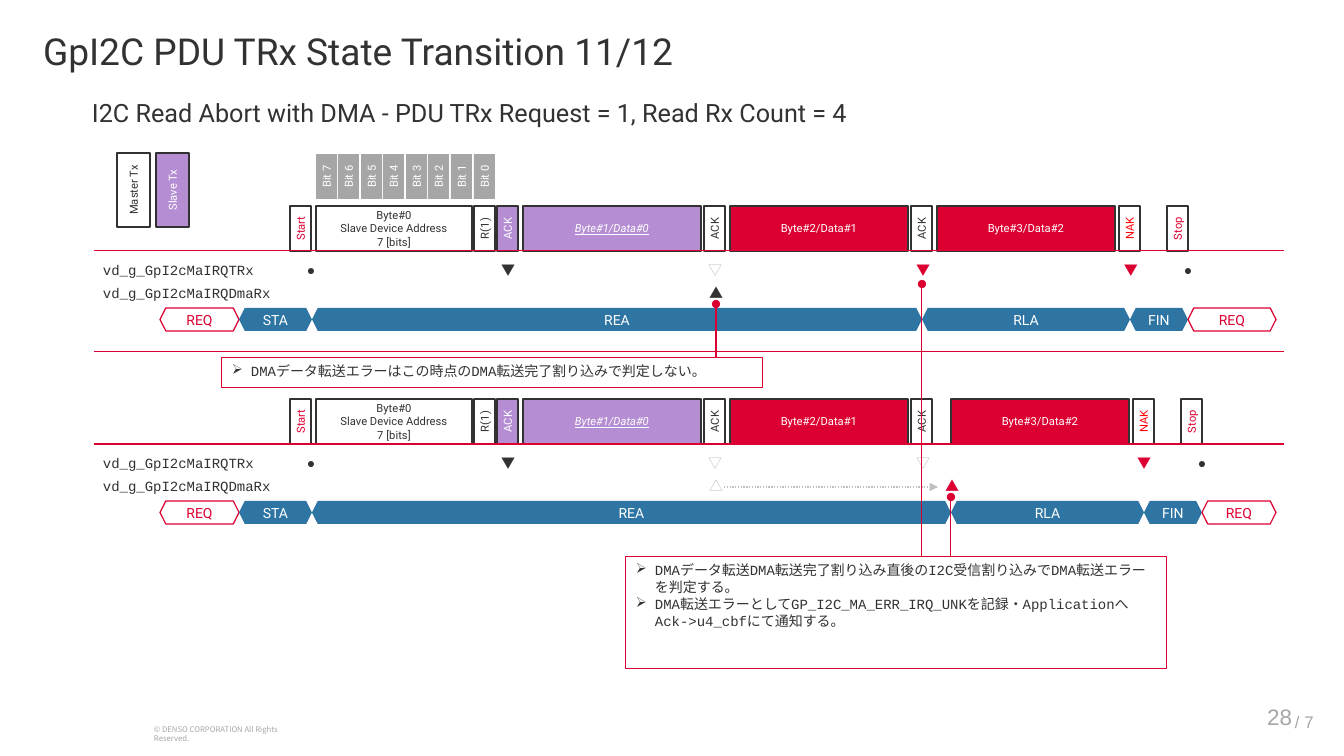
from dataclasses import dataclass
from lxml import etree
from pptx import Presentation
from pptx.dml.color import RGBColor
from pptx.enum.dml import MSO_LINE
from pptx.enum.shapes import MSO_CONNECTOR, MSO_SHAPE
from pptx.enum.text import MSO_ANCHOR, PP_ALIGN
from pptx.oxml.ns import qn
from pptx.util import Pt

STRAIGHT = MSO_CONNECTOR.STRAIGHT
RECTANGLE, HEXAGON = MSO_SHAPE.RECTANGLE, MSO_SHAPE.HEXAGON
TOP, MIDDLE = MSO_ANCHOR.TOP, MSO_ANCHOR.MIDDLE
LEFT, CENTER, RIGHT = PP_ALIGN.LEFT, PP_ALIGN.CENTER, PP_ALIGN.RIGHT
DOTTED = MSO_LINE.ROUND_DOT


@dataclass(frozen=True)
class Theme:
    ink: str = "323232"
    white: str = "FFFFFF"
    red: str = "DC0032"
    nak: str = "FF0000"
    purple: str = "B48DD2"
    blue: str = "2F75A3"
    gray: str = "A6A6A6"
    pale: str = "BFBFBF"
    sans: str = "Roboto"
    mono: str = "Courier New"
    japanese: str = "Noto Sans CJK JP"
    plain: str = "Arial"
    title: float = 26.5
    subtitle: float = 18
    page: float = 16
    total: float = 12
    signal: float = 10
    cell: float = 8
    legal: float = 5.5
    outline: float = 0.85
    thin: float = 0.75
    dotted: float = 1


THEME = Theme()


def px(length):
    return round(length * 914400 / 100.8)


def write(shape, lines, size, color, font=THEME.sans, align=CENTER, anchor=MIDDLE,
          insets=(0, 0), wrap=True, spacing=None, bullet=None, emphasis=False):
    frame = shape.text_frame
    frame.word_wrap = wrap
    frame.vertical_anchor = anchor
    frame.margin_left = frame.margin_right = px(insets[0])
    frame.margin_top = frame.margin_bottom = px(insets[1])
    frame.text = "\n".join(lines)
    for paragraph in frame.paragraphs:
        paragraph.alignment = align
        if spacing:
            paragraph.line_spacing = spacing
        properties = paragraph._p.get_or_add_pPr()
        if bullet:
            properties.set("marL", str(px(19)))
            properties.set("indent", str(px(-19)))
            etree.SubElement(properties, qn("a:buChar")).set("char", bullet)
        paragraph.font.size = Pt(size)
        paragraph.font.color.rgb = RGBColor.from_string(color)
        paragraph.font.name = font
        if emphasis:
            paragraph.font.italic = paragraph.font.underline = True
        east_asian = etree.SubElement(properties.find(qn("a:defRPr")), qn("a:ea"))
        east_asian.set("typeface", THEME.japanese)


def add_text(slide, box, text, size, color, font=THEME.sans, align=LEFT, anchor=TOP,
             insets=(10, 5), **options):
    shape = slide.shapes.add_textbox(*map(px, box))
    write(shape, [text], size, color, font, align, anchor, insets, **options)
    return shape


def add_block(slide, kind, box, fill, line, width=THEME.outline):
    shape = slide.shapes.add_shape(kind, *map(px, box))
    shape.shadow.inherit = False
    if fill:
        shape.fill.solid()
        shape.fill.fore_color.rgb = RGBColor.from_string(fill)
    else:
        shape.fill.background()
    if line:
        shape.line.color.rgb = RGBColor.from_string(line)
        shape.line.width = Pt(width)
    else:
        shape.line.fill.background()
    return shape


def add_upright(slide, box, text, fill, color, line=THEME.ink):
    left, top, width, height = box
    turned = (left + (width - height) / 2, top + (height - width) / 2, height, width)
    shape = add_block(slide, RECTANGLE, turned, fill, line)
    shape.rotation = 270
    write(shape, [text], THEME.cell, color, wrap=False)


def add_line(slide, start, end, color=THEME.red, width=THEME.thin, head=None, tail=None, dash=None):
    connector = slide.shapes.add_connector(STRAIGHT, *map(px, (*start, *end)))
    connector.line.color.rgb = RGBColor.from_string(color)
    connector.line.width = Pt(width)
    if dash:
        connector.line.dash_style = dash
    outline = connector.line._get_or_add_ln()
    for tag, ending in (("a:headEnd", head), ("a:tailEnd", tail)):
        if ending:
            etree.SubElement(outline, qn(tag)).set("type", ending)
    etree.SubElement(connector._element.spPr, qn("a:effectLst"))


def add_headings(slide):
    add_text(slide, (0, 28, 1191, 45), "GpI2C PDU TRx State Transition 11/12",
             THEME.title, THEME.ink, insets=(43, 5), spacing=0.9)
    add_text(slide, (82, 87, 808, 36),
             "I2C Read Abort with DMA - PDU TRx Request = 1, Read Rx Count = 4",
             THEME.subtitle, THEME.ink, insets=(10, 0), wrap=False, spacing=1.35)


def add_footer(slide):
    add_text(slide, (144, 720, 180, 19), "© DENSO CORPORATION All Rights Reserved.",
             THEME.legal, THEME.gray, THEME.japanese)
    add_text(slide, (1230, 699, 72, 35), "28", THEME.page, THEME.gray, THEME.plain,
             RIGHT, MIDDLE, (10, 4))
    add_text(slide, (1285, 708, 39, 28), "/ 7", THEME.total, THEME.gray, THEME.plain,
             LEFT, MIDDLE, (10, 4), wrap=False)


def add_legend(slide, left, top):
    add_upright(slide, (left, top, 33, 74), "Master Tx", THEME.white, THEME.ink)
    add_upright(slide, (left + 39, top, 33, 74), "Slave Tx", THEME.purple, THEME.white)


def add_bits(slide, left, top, span):
    for index in range(8):
        add_upright(slide, (left + span * index // 7, top, 21, 45), f"Bit {7 - index}",
                    THEME.gray, THEME.white, None)


def add_timeline(slide, top, delay, bounds, markers):
    narrow_cells = (
        ("Start", 290, THEME.white, THEME.red),
        ("R(1)", 474, THEME.white, THEME.ink),
        ("ACK", 497, THEME.purple, THEME.white),
        ("ACK", 704, THEME.white, THEME.ink),
        ("ACK", 911, THEME.white, THEME.ink),
        ("NAK", 1119 + delay, THEME.white, THEME.nak),
        ("Stop", 1167 + delay, THEME.white, THEME.red),
    )
    byte_cells = (
        (["Byte#0", "Slave Device Address", "7 [bits]"], 316, 156, THEME.white, THEME.ink),
        (["Byte#1/Data#0"], 523, 178, THEME.purple, THEME.white),
        (["Byte#2/Data#1"], 730, 178, THEME.red, THEME.white),
        (["Byte#3/Data#2"], 937 + delay, 178, THEME.red, THEME.white),
    )
    for text, left, fill, color in narrow_cells:
        add_upright(slide, (left, top, 21, 45), text, fill, color)
    for lines, left, width, fill, color in byte_cells:
        shape = add_block(slide, RECTANGLE, (left, top, width, 45), fill, THEME.ink)
        write(shape, lines, THEME.cell, color, emphasis=fill == THEME.purple)
    add_line(slide, (94, top + 45), (1284, top + 45))

    signal_tops = (top + 51, top + 74)
    for name, signal_top in zip(("vd_g_GpI2cMaIRQTRx", "vd_g_GpI2cMaIRQDmaRx"), signal_tops):
        add_text(slide, (93, signal_top, 198, 27), name, THEME.signal, THEME.ink, THEME.mono)
    for symbol, center, signal, color in markers:
        font = THEME.mono if symbol == "●" else THEME.japanese
        add_text(slide, (center - 16, signal_tops[signal], 32, 27), symbol, THEME.signal, color,
                 font, CENTER, insets=(0, 5))

    states = ("REQ", "STA", "REA", "RLA", "FIN", "REQ")
    for state, left, right in zip(states, bounds, bounds[1:]):
        idle = state == "REQ"
        shape = add_block(slide, HEXAGON, (left, top + 102, right - left, 23),
                          THEME.white if idle else THEME.blue, THEME.red if idle else None)
        write(shape, [state], THEME.signal, THEME.red if idle else THEME.white, wrap=False)


def add_note(slide, box, lines, pointers):
    shape = add_block(slide, RECTANGLE, box, None, THEME.red, THEME.thin)
    write(shape, lines, THEME.signal, THEME.ink, THEME.mono, LEFT, TOP, (10, 5), bullet="➢")
    for x, y in pointers:
        add_line(slide, (x, y), (x, box[1]), head="oval")


def main():
    presentation = Presentation()
    presentation.slide_width, presentation.slide_height = px(1344), px(756)
    slide = presentation.slides.add_slide(presentation.slide_layouts[6])
    add_footer(slide)
    add_headings(slide)
    add_legend(slide, 117, 153)
    add_bits(slide, 316, 154, 158)
    shared = [("●", 311, 0, THEME.ink), ("▼", 508, 0, THEME.ink), ("▽", 715, 0, THEME.pale)]
    add_timeline(slide, 206, 0, (160, 239, 312, 922, 1130, 1188, 1276), shared + [
        ("▼", 923, 0, THEME.red), ("▼", 1131, 0, THEME.red),
        ("●", 1188, 0, THEME.ink), ("▲", 716, 1, THEME.ink)])
    add_line(slide, (94, 352), (1284, 352))
    add_timeline(slide, 399, 14, (160, 239, 312, 951, 1144, 1202, 1276), shared + [
        ("▽", 923, 0, THEME.pale), ("▼", 1144, 0, THEME.red), ("●", 1202, 0, THEME.ink),
        ("△", 716, 1, THEME.pale), ("▲", 952, 1, THEME.red)])
    add_line(slide, (724, 487), (938, 487), THEME.pale, THEME.dotted, tail="triangle", dash=DOTTED)
    add_note(slide, (222, 358, 541, 30),
             ["DMAデータ転送エラーはこの時点のDMA転送完了割り込みで判定しない。"], [(716, 304)])
    add_note(slide, (626, 557, 541, 112),
             ["DMAデータ転送DMA転送完了割り込み直後のI2C受信割り込みでDMA転送エラーを判定する。",
              "DMA転送エラーとしてGP_I2C_MA_ERR_IRQ_UNKを記録・ApplicationへAck->u4_cbfにて通知する。"],
             [(922, 284), (951, 497)])
    presentation.save("out.pptx")


if __name__ == "__main__":
    main()
